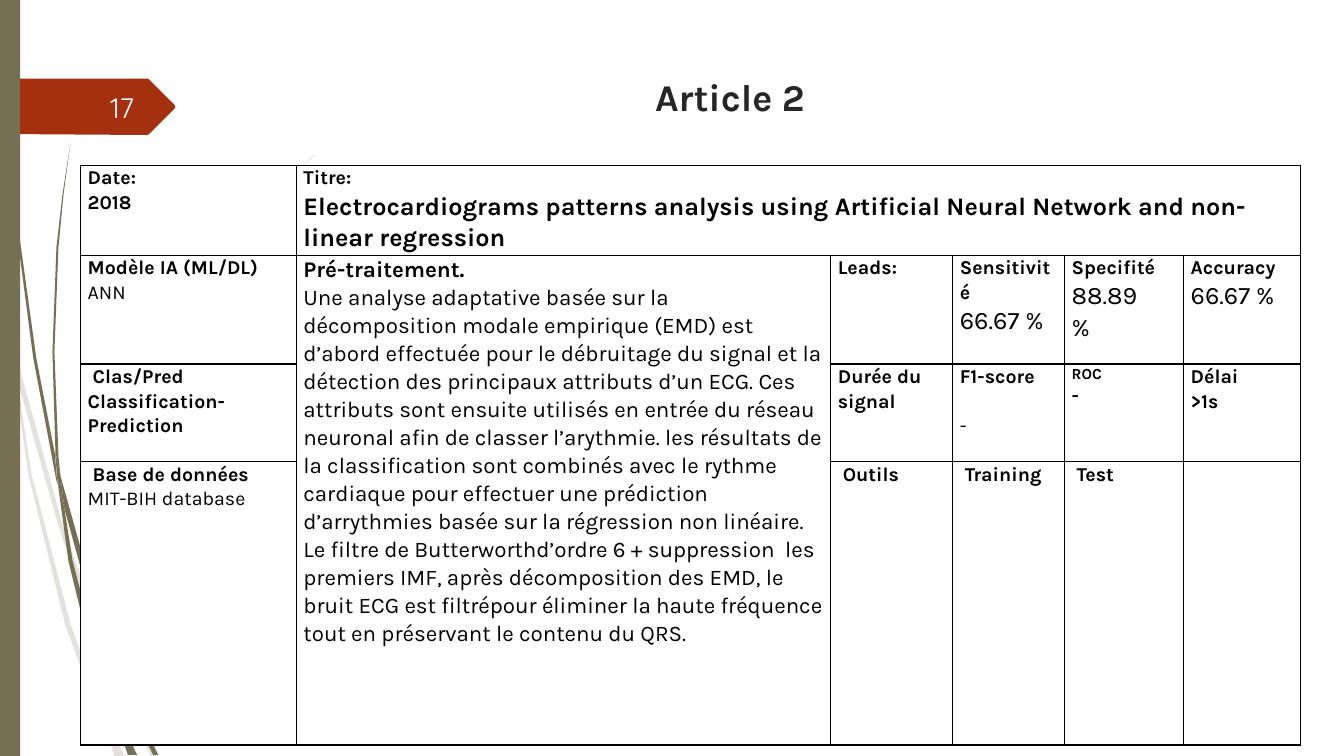
from lxml.etree import SubElement
from pptx import Presentation
from pptx.dml.color import RGBColor
from pptx.enum.shapes import MSO_SHAPE
from pptx.enum.text import MSO_ANCHOR, PP_ALIGN
from pptx.oxml.ns import qn
from pptx.util import Inches, Pt

COLORS = {"olive": "766F54", "rust": "A53010", "title": "262626",
          "number": "FEFFFF", "ink": "000000", "paper": "FFFFFF"}

PALE_BLADES = [
    [(0.11, 3.5), (0.09, 3.22), (0, 2.82), (0, 2.99), (0.1, 3.44)],
    [(0.58, 5.22), (0.84, 5.99), (0.85, 5.86), (0.62, 5.2), (0.14, 3.45), (0.17, 3.76)],
    [(0.92, 6.07), (0.88, 5.96), (0.88, 6.1), (1.23, 6.94), (1.5, 7.51), (1.55, 7.51), (1.27, 6.92)],
    [(1.19, 7.51), (1.24, 7.51), (1.05, 7.11)],
    [(0.93, 6.83), (0.7, 6.19), (0.31, 4.69), (0.17, 3.76), (0.11, 3.5), (0.28, 4.7),
     (0.65, 6.21), (0.92, 6.93), (1.01, 7.14), (0.99, 7.07)],
    [(0.84, 5.99), (0.87, 6.46), (0.93, 6.83), (0.96, 6.92), (1.05, 7.11), (1.03, 7.06),
     (0.91, 6.46), (0.88, 6.1), (0.88, 6.08)],
    [(0.88, 5.84), (1.1, 4.62), (1.6, 3.49), (2.29, 2.45), (2.68, 1.98), (2.9, 1.75), (3.12, 1.54),
     (3.12, 1.53), (2.89, 1.75), (2.68, 1.97), (2.28, 2.44), (1.58, 3.48), (1.07, 4.61),
     (0.85, 5.84), (0.85, 5.86), (0.88, 5.96)],
    [(1.01, 7.14), (1.14, 7.51), (1.19, 7.51)],
    [(0.88, 6.08), (0.88, 6.1), (0.88, 5.96), (0.85, 5.86), (0.84, 5.99)],
    [(0.96, 6.92), (0.93, 6.83), (0.99, 7.07), (1.01, 7.14), (1.19, 7.51), (1.05, 7.11)],
]
DARK_BLADES = [
    [(0.07, 1.1), (0.17, 2.33), (0.33, 3.55), (0.56, 4.77), (0.57, 4.81), (0.55, 4.57), (0.55, 4.53),
     (0.36, 3.55), (0.19, 2.32), (0.08, 1.09), (0.05, 0.48), (0.04, 0), (0.03, 0), (0.04, 0.48)],
    [(0.88, 5.92), (1.06, 6.45), (1.06, 6.31), (0.93, 5.9), (0.6, 4.72), (0.64, 5.05)],
    [(1.13, 6.49), (1.1, 6.41), (1.11, 6.56), (1.32, 7.08), (1.52, 7.49), (1.57, 7.49), (1.36, 7.06)],
    [(1.1, 6.91), (0.98, 6.57), (0.72, 5.56), (0.64, 5.05), (0.57, 4.77), (0.68, 5.57),
     (0.93, 6.59), (1.11, 7.08), (1.17, 7.22), (1.16, 7.17)],
    [(0.6, 4.72), (0.58, 4.53), (0.54, 3.49), (0.58, 2.45), (0.63, 1.93), (0.7, 1.41),
     (0.62, 1.93), (0.56, 2.45), (0.52, 3.49), (0.55, 4.49)],
    [(1.33, 7.49), (1.36, 7.49), (1.22, 7.19)],
    [(0.57, 4.77), (0.64, 5.05), (0.6, 4.72), (0.55, 4.49), (0.55, 4.53)],
    [(1.11, 6.33), (1.25, 5.52), (1.58, 4.76), (2.05, 4.06), (2.31, 3.74), (2.61, 3.44), (2.6, 3.44),
     (2.31, 3.73), (2.04, 4.05), (1.56, 4.74), (1.22, 5.51), (1.06, 6.31), (1.1, 6.41)],
    [(1.17, 7.22), (1.27, 7.49), (1.31, 7.49)],
    [(1.06, 6.45), (1.1, 6.91), (1.16, 7.06), (1.22, 7.19), (1.21, 7.16), (1.11, 6.56), (1.09, 6.51)],
    [(1.06, 6.45), (1.09, 6.51), (1.11, 6.56), (1.1, 6.41), (1.06, 6.31)],
    [(1.16, 7.06), (1.1, 6.91), (1.16, 7.17), (1.17, 7.22), (1.3, 7.49), (1.33, 7.49), (1.22, 7.19)],
]
PAGE_ARROW = [(0, 0.78), (1.46, 0.78), (1.48, 0.79), (1.73, 1.04), (1.74, 1.06),
              (1.73, 1.08), (1.48, 1.33), (1.46, 1.34), (0, 1.33)]

PRETREATMENT = (
    "Une analyse adaptative basée sur la décomposition modale empirique (EMD) est d’abord "
    "effectuée pour le débruitage du signal et la détection des principaux attributs d’un ECG. "
    "Ces attributs sont ensuite utilisés en entrée du réseau neuronal afin de classer l’arythmie. "
    "les résultats de la classification sont combinés avec le rythme cardiaque pour effectuer une "
    "prédiction d’arrythmies basée sur la régression non linéaire. \n"
    "Le filtre de Butterworthd’ordre 6 + suppression  les premiers IMF, après décomposition des "
    "EMD, le bruit ECG est filtrépour éliminer la haute fréquence tout en préservant le contenu du QRS.")
PAPER = "Electrocardiograms patterns analysis using Artificial Neural Network and non-linear regression"

COLUMN_WIDTHS = [2.14, 5.3, 1.21, 1.11, 1.18, 1.16]
ROW_HEIGHTS = [0.87, 1.08, 0.97, 2.81]
CELLS = {
    (0, 0): [("Date:", 14, True), ("2018", 14, True)],
    (0, 1): [("Titre:", 14, True), (PAPER, 18, True)],
    (1, 0): [("Modèle IA (ML/DL)", 14, True), ("ANN", 14, False)],
    (1, 1): [("Pré-traitement.", 16, True), (PRETREATMENT, 16, False)],
    (1, 2): [("Leads:", 14, True)],
    (1, 3): [("Sensitivité", 14, True), ("66.67 %", 18, False)],
    (1, 4): [("Specifité", 14, True), ("88.89 \n%", 18, False)],
    (1, 5): [("Accuracy", 14, True), ("66.67 %", 18, False)],
    (2, 0): [(" Clas/Pred", 14, True), ("Classification-Prediction", 14, True)],
    (2, 2): [("Durée du signal", 14, True)],
    (2, 3): [("F1-score", 14, True), ("-", 14, False)],
    (2, 4): [("ROC", 11, True), ("-", 14, True)],
    (2, 5): [("Délai", 14, True), (">1s", 14, True)],
    (3, 0): [(" Base de données", 14, True), ("MIT-BIH database", 14, False)],
    (3, 2): [(" Outils", 14, True)],
    (3, 3): [(" Training", 14, True)],
    (3, 4): [(" Test", 14, True)],
}

prs = Presentation()
prs.slide_width, prs.slide_height = Inches(13.33), Inches(7.5)
slide = prs.slides.add_slide(prs.slide_layouts[6])


def paint(shape, color):
    shape.shadow.inherit = False
    shape.fill.solid()
    shape.fill.fore_color.rgb = RGBColor.from_string(COLORS[color])
    shape.line.fill.background()


def write(paragraph, text, size, bold, color, font="Karla"):
    paragraph.text = text
    paragraph.font.name = font
    paragraph.font.size = Pt(size)
    paragraph.font.bold = bold
    paragraph.font.color.rgb = RGBColor.from_string(COLORS[color])


outlines = [(blade, "olive", 20) for blade in PALE_BLADES]
outlines += [(blade, "olive", 100) for blade in DARK_BLADES]
outlines.append((PAGE_ARROW, "rust", 100))
for points, color, opacity in outlines:
    start, *rest = [(Inches(x), Inches(y)) for x, y in points]
    builder = slide.shapes.build_freeform(*start)
    builder.add_line_segments(rest, close=True)
    outline = builder.convert_to_shape()
    paint(outline, color)
    if opacity < 100:
        tint = outline.fill._xPr.find(qn("a:solidFill"))[0]
        SubElement(tint, qn("a:alpha"), val=str(opacity * 1000))

side_bar = slide.shapes.add_shape(MSO_SHAPE.RECTANGLE, 0, 0, Inches(0.2), Inches(7.5))
paint(side_bar, "olive")

heading = slide.shapes.add_textbox(Inches(1.77), Inches(0.68), Inches(10.94), Inches(0.97)).text_frame
heading.word_wrap = True
write(heading.paragraphs[0], "Article 2", 27, True, "title")
heading.paragraphs[0].alignment = PP_ALIGN.CENTER

page_number = slide.shapes.add_textbox(Inches(0.58), Inches(0.86), Inches(0.85), Inches(0.4)).text_frame
page_number.word_wrap = True
page_number.vertical_anchor = MSO_ANCHOR.MIDDLE
write(page_number.paragraphs[0], "17", 20, False, "number", "Quicksand")
page_number.paragraphs[0].alignment = PP_ALIGN.RIGHT

summary = slide.shapes.add_table(
    len(ROW_HEIGHTS), len(COLUMN_WIDTHS), Inches(0.8), Inches(1.64),
    Inches(sum(COLUMN_WIDTHS)), Inches(sum(ROW_HEIGHTS))).table
summary.first_row = summary.horz_banding = False
for column, width in zip(summary.columns, COLUMN_WIDTHS):
    column.width = Inches(width)
for row, height in zip(summary.rows, ROW_HEIGHTS):
    row.height = Inches(height)
summary.cell(0, 1).merge(summary.cell(0, 5))
summary.cell(1, 1).merge(summary.cell(3, 1))

for cell in summary.iter_cells():
    cell.margin_left = cell.margin_right = Inches(0.07)
    cell.margin_top = cell.margin_bottom = 0
    for side in ("a:lnL", "a:lnR", "a:lnT", "a:lnB"):
        border = SubElement(cell._tc.get_or_add_tcPr(), qn(side), w=str(Pt(1)))
        border_fill = SubElement(border, qn("a:solidFill"))
        SubElement(border_fill, qn("a:srgbClr"), val=COLORS["ink"])
    cell.fill.solid()
    cell.fill.fore_color.rgb = RGBColor.from_string(COLORS["paper"])

for position, entries in CELLS.items():
    frame = summary.cell(*position).text_frame
    for index, (text, size, bold) in enumerate(entries):
        paragraph = frame.add_paragraph() if index else frame.paragraphs[0]
        write(paragraph, text, size, bold, "ink")
        paragraph.line_spacing = 1.07
summary.cell(2, 3).text_frame.paragraphs[1].space_before = Pt(17.5)

prs.save("out.pptx")
